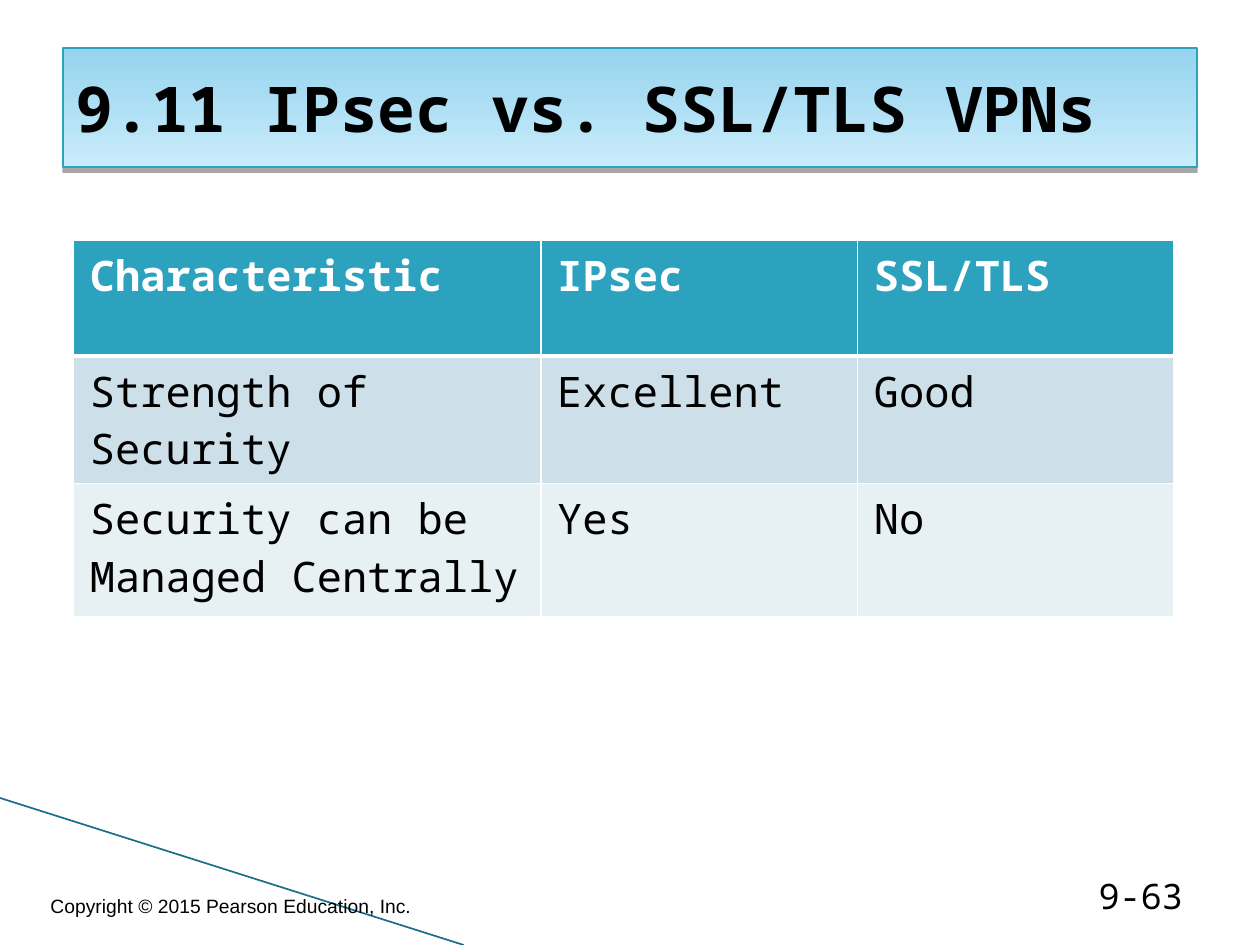
from pptx import Presentation
from pptx.dml.color import RGBColor as RGB
from pptx.enum.shapes import MSO_CONNECTOR as Conn
from pptx.enum.text import MSO_ANCHOR as Anchor, MSO_AUTO_SIZE as Auto, PP_ALIGN as Align
from pptx.oxml import parse_xml
from pptx.oxml.ns import nsdecls
from pptx.util import Pt

TITLE = "9.11 IPsec vs. SSL/TLS VPNs"
ROWS = [
    ("Characteristic", "IPsec", "SSL/TLS"),
    ("Strength of Security", "Excellent", "Good"),
    ("Security can be Managed Centrally", "Yes", "No"),
]
WIDTHS = (267, 181, 181)
HEIGHTS = (66, 38, 76)
NOTES = [
    ("9-63", (618, 498, 65, 29), Align.RIGHT, 20, "Noto Sans Mono"),
    ("Copyright © 2015 Pearson Education, Inc.", (18, 504, 228, 24), Align.CENTER, 11, "Arial"),
]

MONO = "Noto Sans Mono"
BLACK = RGB(0, 0, 0)
WHITE = RGB(255, 255, 255)
TEAL = RGB(0x2D, 0xA2, 0xBF)
DEEP = RGB(0x19, 0x6F, 0x85)
SKY = RGB(0x95, 0xD3, 0xEE)
PALE = RGB(0xC9, 0xEC, 0xFB)
FILLS = (TEAL, RGB(0xCD, 0xDF, 0xE8), RGB(0xE7, 0xF0, 0xF3))


def write(frame, text, size, color, font=MONO, bold=False, align=Align.LEFT):
    para = frame.paragraphs[0]
    para.alignment = align
    run = para.add_run()
    run.text = text
    run.font.name = font
    run.font.size = Pt(size)
    run.font.bold = bold
    run.font.color.rgb = color
    return para


def effects(shape, inner=""):
    shape._element.spPr.append(
        parse_xml(f'<a:effectLst {nsdecls("a")}>{inner}</a:effectLst>'))


def edge(cell, side, width):
    cell._tc.get_or_add_tcPr().append(parse_xml(
        f'<a:ln{side} {nsdecls("a")} w="{Pt(width)}"><a:solidFill>'
        f'<a:srgbClr val="{WHITE}"/></a:solidFill></a:ln{side}>'))


def add_title(slide):
    title = slide.shapes.title
    title.left, title.top, title.width, title.height = map(Pt, (36, 27.5, 648, 68))
    title.fill.gradient()
    title.fill.gradient_angle = 270
    for stop, color, place in zip(title.fill.gradient_stops, (SKY, PALE), (0, 1)):
        stop.color.rgb = color
        stop.position = place
    title.line.color.rgb = TEAL
    title.line.width = Pt(0.75)
    effects(title, f'<a:outerShdw blurRad="0" dist="{Pt(3)}" dir="5400000" rotWithShape="0">'
                   '<a:srgbClr val="000000"><a:alpha val="35000"/></a:srgbClr></a:outerShdw>')
    frame = title.text_frame
    frame.auto_size = Auto.NONE
    frame.vertical_anchor = Anchor.MIDDLE
    write(frame, TITLE, 36, BLACK, bold=True)


def add_grid(slide):
    size = (42, 137.5, sum(WIDTHS), sum(HEIGHTS))
    grid = slide.shapes.add_table(len(ROWS), len(WIDTHS), *map(Pt, size)).table
    for col, width in zip(grid.columns, WIDTHS):
        col.width = Pt(width)
    for r, (row, height) in enumerate(zip(ROWS, HEIGHTS)):
        grid.rows[r].height = Pt(height)
        for c, text in enumerate(row):
            cell = grid.cell(r, c)
            cell.margin_left = cell.margin_right = Pt(9.4)
            head = r == 0
            for side, width in (("L", 1), ("R", 1), ("T", 3 if r == 1 else 1), ("B", 3 if head else 1)):
                edge(cell, side, width)
            cell.fill.solid()
            cell.fill.fore_color.rgb = FILLS[r]
            para = write(cell.text_frame, text, 24, WHITE if head else BLACK, bold=head)
            para.space_after = Pt(3)


def add_notes(slide):
    for text, box, align, size, font in NOTES:
        frame = slide.shapes.add_textbox(*map(Pt, box)).text_frame
        frame.word_wrap = True
        frame.vertical_anchor = Anchor.BOTTOM
        write(frame, text, size, BLACK, font, align=align)


def main():
    deck = Presentation()
    deck.slide_width, deck.slide_height = Pt(720), Pt(540)
    slide = deck.slides.add_slide(deck.slide_layouts[5])
    slope = slide.shapes.add_connector(Conn.STRAIGHT, *map(Pt, (0, 456, 265, 540)))
    slope.line.color.rgb = DEEP
    slope.line.width = Pt(0.96)
    effects(slope)
    add_title(slide)
    add_grid(slide)
    add_notes(slide)
    deck.save("out.pptx")


if __name__ == "__main__":
    main()
